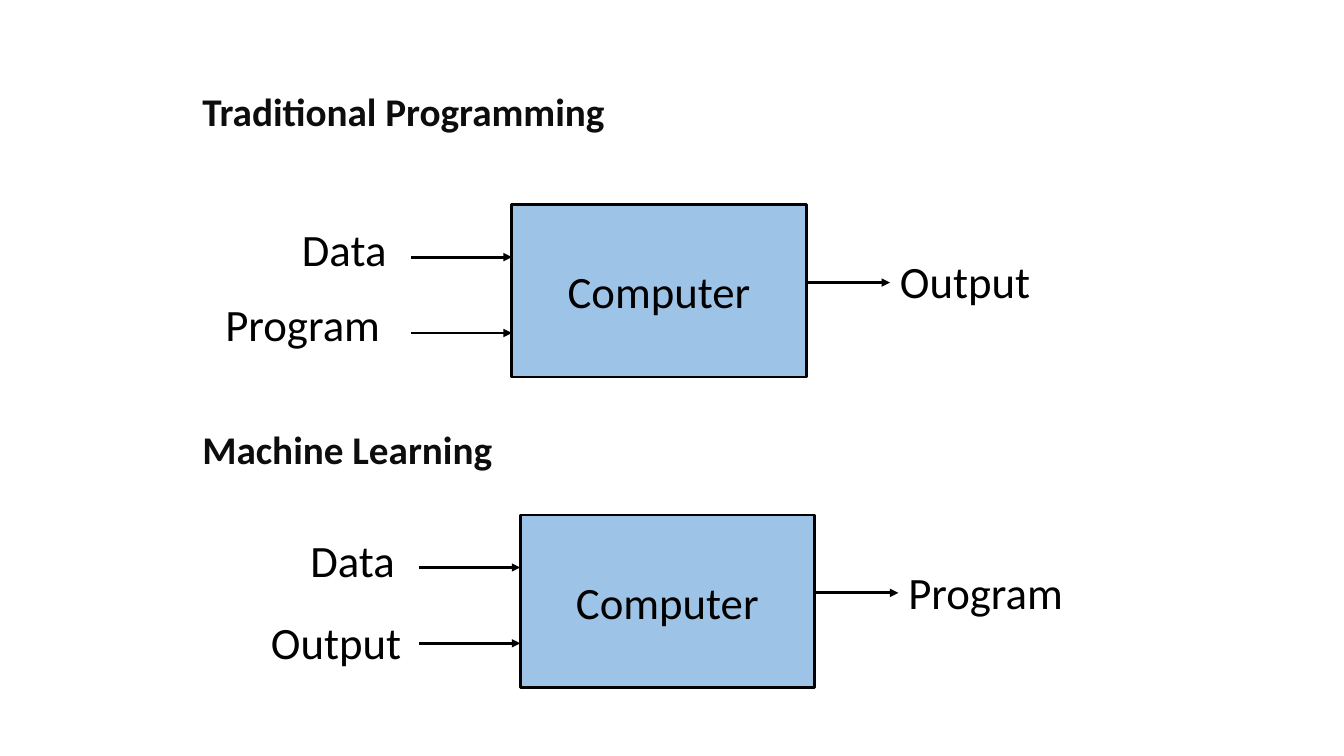
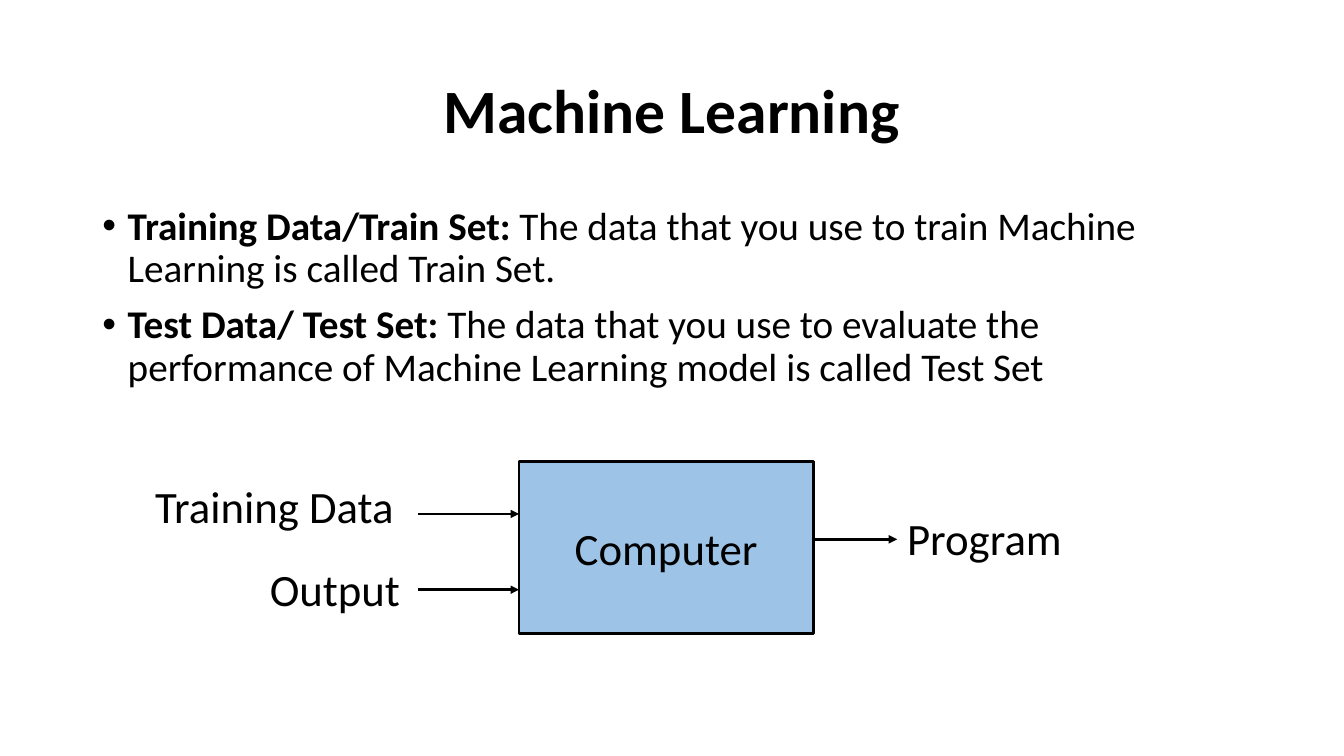
from dataclasses import dataclass

from lxml import etree
from pptx import Presentation
from pptx.dml.color import RGBColor
from pptx.enum.shapes import MSO_CONNECTOR, MSO_SHAPE
from pptx.enum.text import MSO_ANCHOR, PP_ALIGN
from pptx.oxml.ns import qn
from pptx.util import Cm, Pt

LEFT, CENTER = PP_ALIGN.LEFT, PP_ALIGN.CENTER
TOP, MIDDLE = MSO_ANCHOR.TOP, MSO_ANCHOR.MIDDLE
RECT, STRAIGHT = MSO_SHAPE.RECTANGLE, MSO_CONNECTOR.STRAIGHT


@dataclass(frozen=True)
class Theme:
    font: str = "Calibri"
    ink: RGBColor = RGBColor(0x00, 0x00, 0x00)
    soft: RGBColor = RGBColor(0x0D, 0x0D, 0x0D)
    fill: RGBColor = RGBColor(0x9D, 0xC3, 0xE6)
    title: int = 44
    label: int = 32
    body: int = 28
    line: int = 2


theme = Theme()


def write(frame, paras, size=theme.label, color=theme.ink, bold=False,
          align=LEFT, anchor=TOP, space=1.0, before=0, bullet=False):
    frame.word_wrap = True
    frame.vertical_anchor = anchor
    for i, runs in enumerate(paras):
        para = frame.add_paragraph() if i else frame.paragraphs[0]
        para.alignment = align
        para.line_spacing = space
        para.space_before = Pt(before)
        if bullet:
            props = para._p.get_or_add_pPr()
            props.set("marL", str(Cm(0.64)))
            props.set("indent", str(-Cm(0.64)))
            etree.SubElement(props, qn("a:buFont"), typeface="Arial")
            etree.SubElement(props, qn("a:buChar"), char="•")
        for j, words in enumerate(runs):
            run = para.add_run()
            run.text = words
            font = run.font
            font.name, font.size = theme.font, Pt(size)
            font.color.rgb = color
            font.bold = bold or (bullet and j == 0)


def area(*sides):
    return [Cm(side) for side in sides]


deck = Presentation()
deck.slide_width, deck.slide_height = Cm(33.87), Cm(19.05)
blank = deck.slide_layouts[6]
models = deck.slides.add_slide(blank)
sets = deck.slides.add_slide(blank)

for name, top in (("Traditional Programming", 2.21), ("Machine Learning", 10.72)):
    head = models.shapes.add_textbox(*area(4.85, top, 15, 1.4))
    write(head.text_frame, [[name]], size=theme.body, color=theme.soft,
          bold=True, space=0.9)

title = sets.shapes.add_textbox(*area(2.33, 1.01, 29.21, 3.68))
write(title.text_frame, [["Machine Learning"]], size=theme.title, bold=True,
      align=CENTER, anchor=MIDDLE, space=0.9)

body = sets.shapes.add_textbox(*area(2.33, 5.07, 29.21, 5.2))
write(body.text_frame, [
    ["Training Data/Train Set: ",
     "The data that you use to train Machine Learning is called Train Set."],
    ["Test Data/ Test Set: ",
     "The data that you use to evaluate the performance of Machine Learning "
     "model is called Test Set"],
], size=theme.body, space=0.9, before=10, bullet=True)

wide, high = 7.42, 4.34
spans = {"Data": 2.9, "Program": 4.83, "Output": 3.89, "Training Data": 6.78}
flows = (
    (models, 12.9, 5.16, "Data", "Program", 2.18, "Output"),
    (models, 13.11, 12.98, "Data", "Output", 2.39, "Program"),
    (sets, 13.08, 11.63, "Training Data", "Output", 2.39, "Program"),
)
for slide, x, y, first, second, drop, result in flows:
    box = slide.shapes.add_shape(RECT, *area(x, y, wide, high))
    box.shadow.inherit = False
    box.fill.solid()
    box.fill.fore_color.rgb = theme.fill
    box.line.color.rgb = theme.ink
    box.line.width = Pt(theme.line)
    write(box.text_frame, [["Computer"]], align=CENTER, anchor=MIDDLE)

    end = x + wide + 2.11
    for start, stop, down in ((x - 2.54, x, 1.32), (x - 2.54, x, 3.23),
                              (x + wide, end, 1.96)):
        arrow = slide.shapes.add_connector(
            STRAIGHT, *area(start, y + down, stop, y + down))
        arrow.line.color.rgb = theme.ink
        arrow.line.width = Pt(theme.line)
        etree.SubElement(arrow.line._get_or_add_ln(), qn("a:tailEnd"),
                         type="triangle")
        etree.SubElement(arrow._element.spPr, qn("a:effectLst"))

    edge = x - 2.64
    for name, left, down in ((first, edge - spans[first], 0.31),
                             (second, edge - spans[second], drop),
                             (result, end, 1.12)):
        label = slide.shapes.add_textbox(
            *area(left, y + down, spans[name], 1.6))
        write(label.text_frame, [[name]])

deck.save("out.pptx")
